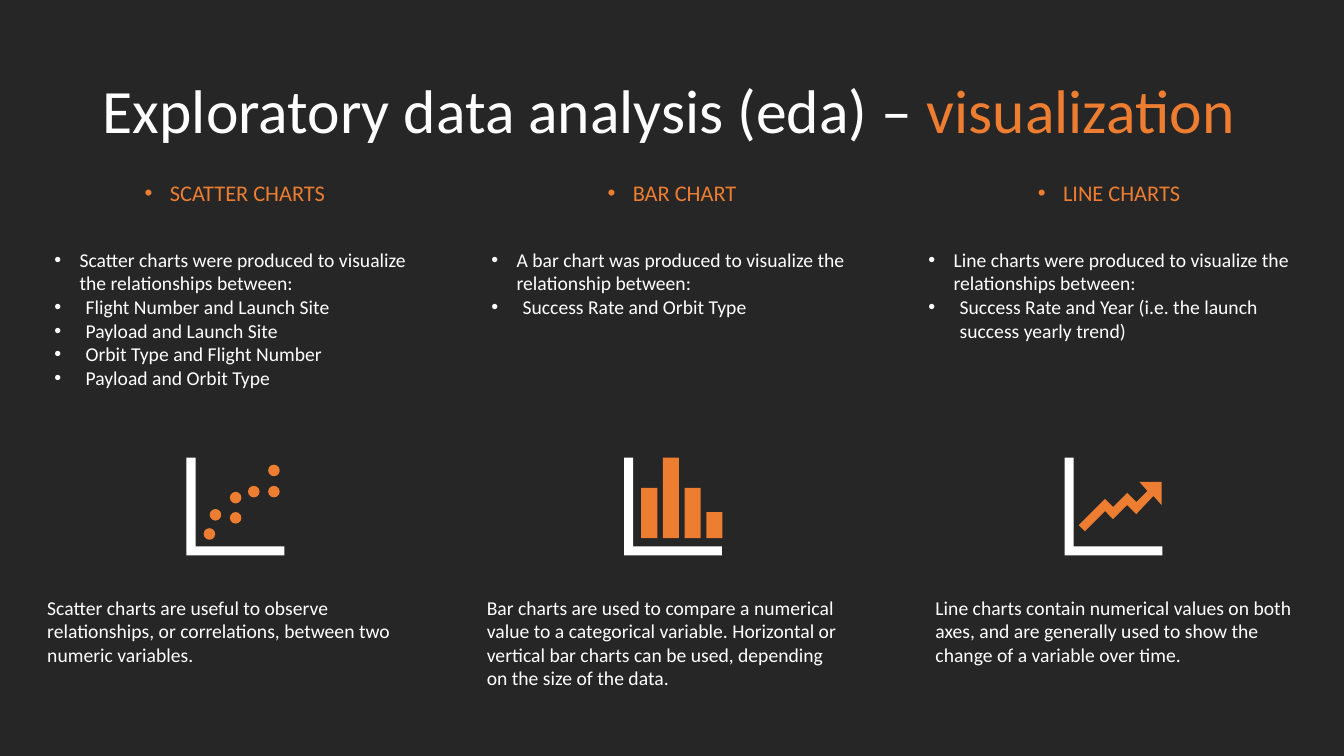
from lxml.etree import SubElement
from pptx import Presentation
from pptx.dml.color import RGBColor
from pptx.enum.shapes import MSO_SHAPE
from pptx.enum.text import MSO_ANCHOR, PP_ALIGN
from pptx.oxml.ns import qn
from pptx.util import Inches, Pt

DARK, WHITE, ORANGE = "262626", "FFFFFF", "ED7D31"
COLUMN_LEFT, COLUMN_PITCH, COLUMN_WIDTH = 0.44, 4.335, 3.78
HEADING_TOP, LIST_TOP, ICON_TOP, NOTE_TOP = 1.45, 2.41, 4.54, 5.86
AXES = [(0, 0), (0, 97), (97, 97), (97, 88), (9, 88), (9, 0)]
ARROW = [(74, 24), (82, 33), (71, 44), (62, 35), (48, 49), (40, 41), (14, 67), (20, 73),
         (40, 53), (48, 61), (62, 47), (71, 56), (88, 38), (96, 47), (96, 24)]
DOTS = [(0.17, 0.7), (0.23, 0.51), (0.43, 0.54), (0.43, 0.34),
        (0.61, 0.28), (0.81, 0.28), (0.81, 0.07)]
DOT_SIZE = 0.115
BAR_HEIGHTS = [0.5, 0.8, 0.5, 0.26]
BAR_LEFT, BAR_PITCH, BAR_WIDTH, BAR_BASE = 0.17, 0.215, 0.16, 0.8


def color(value):
    return RGBColor.from_string(value)


def paint(shape, fill):
    shape.shadow.inherit = False
    shape.fill.solid()
    shape.fill.fore_color.rgb = color(fill)
    shape.line.fill.background()


def write(para, text, size=14, fill=WHITE, align=PP_ALIGN.LEFT, indent=0):
    para.alignment = align
    if indent:
        properties = para._p.get_or_add_pPr()
        properties.set("marL", str(Inches(indent)))
        properties.set("indent", str(-Inches(indent)))
        SubElement(properties, qn("a:buFont")).set("typeface", "Arial")
        SubElement(properties, qn("a:buChar")).set("char", "•")
    span = para.add_run()
    span.text = text
    span.font.name = "Calibri"
    span.font.size = Pt(size)
    span.font.color.rgb = color(fill)


def add_text(page, left, top, height, anchor=MSO_ANCHOR.TOP, margins=True):
    box = page.shapes.add_textbox(Inches(left), Inches(top), Inches(COLUMN_WIDTH), Inches(height))
    frame = box.text_frame
    frame.word_wrap = True
    frame.vertical_anchor = anchor
    if not margins:
        frame.margin_left = frame.margin_right = frame.margin_top = frame.margin_bottom = 0
    return frame


def add_heading(page, left, text):
    frame = add_text(page, left, HEADING_TOP, 0.92, MSO_ANCHOR.MIDDLE, margins=False)
    write(frame.paragraphs[0], text, size=16, fill=ORANGE, align=PP_ALIGN.CENTER, indent=0.25)


def add_list(page, left, intro, items):
    frame = add_text(page, left, LIST_TOP, 3.2)
    write(frame.paragraphs[0], intro, indent=0.25)
    for item in items:
        write(frame.add_paragraph(), item, indent=0.31)


def add_outline(page, left, points, fill):
    builder = page.shapes.build_freeform(*points[0], scale=Inches(0.01))
    builder.add_line_segments(points[1:], close=True)
    paint(builder.convert_to_shape(Inches(left), Inches(ICON_TOP)), fill)


def add_mark(page, kind, left, top, width, height):
    paint(page.shapes.add_shape(kind, Inches(left), Inches(ICON_TOP + top),
                                Inches(width), Inches(height)), ORANGE)


def draw_scatter(page, left):
    for x, y in DOTS:
        add_mark(page, MSO_SHAPE.OVAL, left + x, y, DOT_SIZE, DOT_SIZE)


def draw_bars(page, left):
    for index, height in enumerate(BAR_HEIGHTS):
        add_mark(page, MSO_SHAPE.RECTANGLE, left + BAR_LEFT + index * BAR_PITCH,
                 BAR_BASE - height, BAR_WIDTH, height)


def draw_trend(page, left):
    add_outline(page, left, ARROW, ORANGE)


def add_title(page):
    title = page.shapes.title
    title.left, title.top, title.width, title.height = map(Inches, (0.92, 0.4, 11.5, 1.45))
    paint(title, DARK)
    title.text_frame.vertical_anchor = MSO_ANCHOR.MIDDLE
    para = title.text_frame.paragraphs[0]
    para.line_spacing = 0.9
    write(para, "Exploratory data analysis (eda) – ", size=44)
    write(para, "visualization", size=44, fill=ORANGE)


COLUMNS = [
    dict(heading="SCATTER CHARTS", draw=draw_scatter, icon_left=1.85, note_left=0.37,
         intro="Scatter charts were produced to visualize the relationships between:",
         items=["Flight Number and Launch Site", "Payload and Launch Site",
                "Orbit Type and Flight Number", "Payload and Orbit Type"],
         note="Scatter charts are useful to observe relationships, or correlations, "
              "between two numeric variables."),
    dict(heading="BAR CHART", draw=draw_bars, icon_left=6.19, note_left=4.73,
         intro="A bar chart was produced to visualize the relationship between:",
         items=["Success Rate and Orbit Type"],
         note="Bar charts are used to compare a numerical value to a categorical variable. "
              "Horizontal or vertical bar charts can be used, depending on the size of the data."),
    dict(heading="LINE CHARTS", draw=draw_trend, icon_left=10.56, note_left=9.18,
         intro="Line charts were produced to visualize the relationships between:",
         items=["Success Rate and Year (i.e. the launch success yearly trend)"],
         note="Line charts contain numerical values on both axes, and are generally used "
              "to show the change of a variable over time."),
]


def main():
    deck = Presentation()
    deck.slide_width, deck.slide_height = Inches(13.33), Inches(7.5)
    page = deck.slides.add_slide(deck.slide_layouts[5])
    page.background.fill.solid()
    page.background.fill.fore_color.rgb = color(DARK)
    add_title(page)
    for index, column in enumerate(COLUMNS):
        left = COLUMN_LEFT + index * COLUMN_PITCH
        add_heading(page, left, column["heading"])
        add_list(page, left, column["intro"], column["items"])
        add_outline(page, column["icon_left"], AXES, WHITE)
        column["draw"](page, column["icon_left"])
        note = add_text(page, column["note_left"], NOTE_TOP, 1.04)
        write(note.paragraphs[0], column["note"])
    deck.save("out.pptx")


if __name__ == "__main__":
    main()
